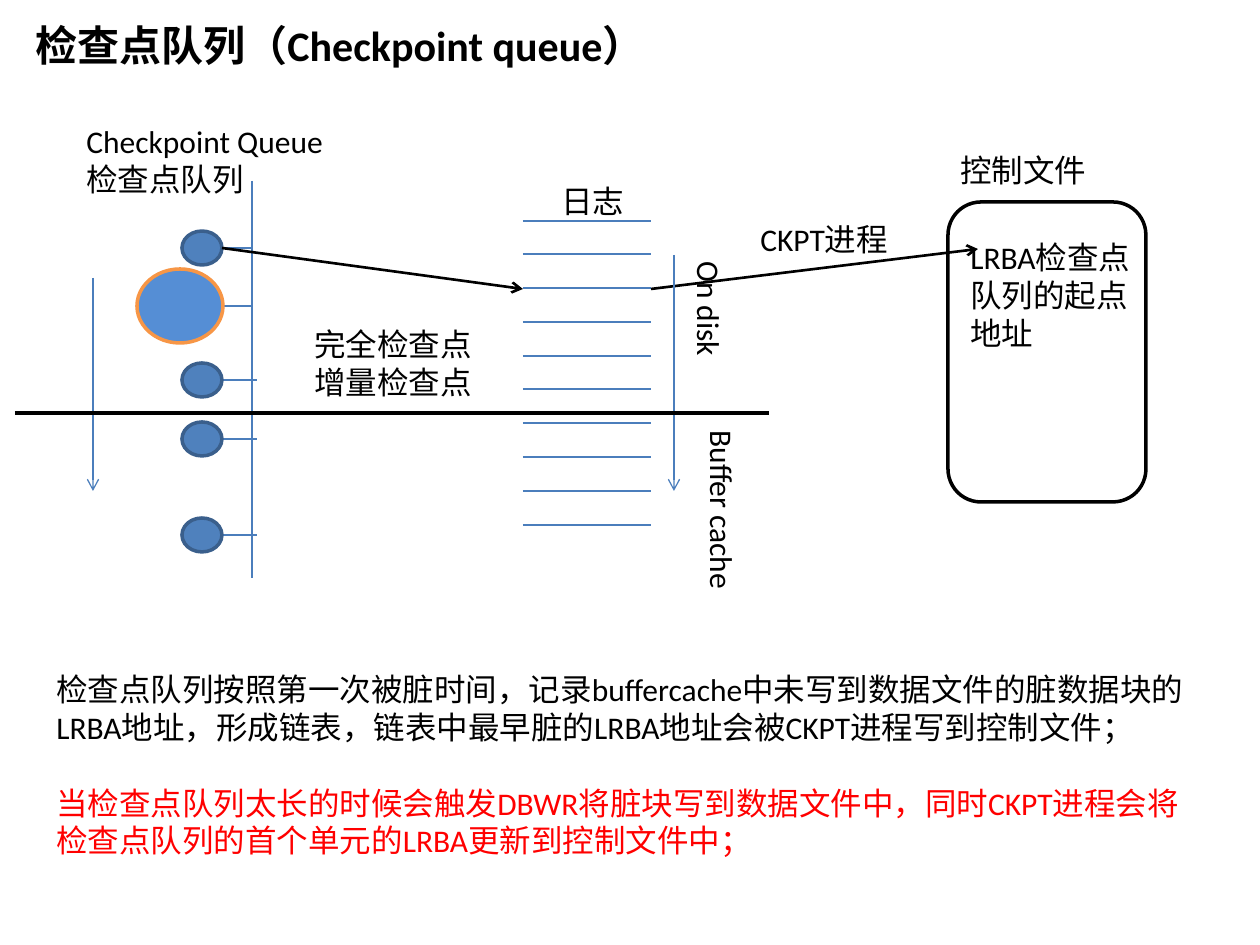
from dataclasses import dataclass

from lxml.etree import SubElement
from pptx import Presentation
from pptx.dml.color import RGBColor
from pptx.enum.shapes import MSO_CONNECTOR, MSO_SHAPE
from pptx.enum.text import MSO_AUTO_SIZE
from pptx.oxml.ns import qn
from pptx.util import Emu, Pt

SCALE = 914400 // 126


@dataclass(frozen=True)
class Theme:
    font: str = "Calibri"
    black: str = "000000"
    red: str = "FF0000"
    blue: str = "4B7EBC"
    dot: str = "4F81BD"
    rim: str = "3A5F8C"
    head: str = "558ED5"
    orange: str = "F79646"
    title: int = 24
    body: int = 18
    thin: float = 0.75
    flow: float = 1.5
    edge: float = 2
    split: float = 2.25


THEME = Theme()


def px(n):
    return Emu(n * SCALE)


def rgb(color):
    return RGBColor.from_string(color)


def add_line(shapes, start, end, color=THEME.blue, width=THEME.thin, arrow=False):
    line = shapes.add_connector(MSO_CONNECTOR.STRAIGHT, *map(px, start + end))
    line.line.color.rgb = rgb(color)
    line.line.width = Pt(width)
    if arrow:
        SubElement(line.line._get_or_add_ln(), qn("a:tailEnd"), type="arrow")
    SubElement(line._element.spPr, qn("a:effectLst"))


def add_shape(shapes, kind, box, edge, fill=None):
    shape = shapes.add_shape(kind, *map(px, box))
    shape.shadow.inherit = False
    if fill:
        shape.fill.solid()
        shape.fill.fore_color.rgb = rgb(fill)
    else:
        shape.fill.background()
    shape.line.color.rgb = rgb(edge)
    shape.line.width = Pt(THEME.edge)


def add_text(shapes, box, *lines, size=THEME.body, bold=False,
             colors=(), gap=0, upright=False):
    """Put each line in its own paragraph, with gap points between them."""
    frame = shapes.add_textbox(*map(px, box)).text_frame
    frame.word_wrap = True
    frame.auto_size = MSO_AUTO_SIZE.SHAPE_TO_FIT_TEXT
    if upright:
        frame._txBody.bodyPr.set("vert", "eaVert")
    for i, text in enumerate(lines):
        para = frame.add_paragraph() if i else frame.paragraphs[0]
        para.text = text
        if i and gap:
            para.space_before = Pt(gap)
        para.font.name = THEME.font
        para.font.size = Pt(size)
        para.font.bold = bold
        para.font.color.rgb = rgb(colors[i] if colors else THEME.black)


def add_dot(shapes, center, size, edge, fill):
    (x, y), (w, h) = center, size
    box = (x - w // 2, y - h // 2, w, h)
    add_shape(shapes, MSO_SHAPE.OVAL, box, edge, fill)


def add_queue(slide):
    shapes = slide.shapes.add_group_shape().shapes
    add_line(shapes, (252, 181), (252, 578))
    for y, right in ((248, 252), (380, 257), (439, 257), (535, 257)):
        add_line(shapes, (right, y), (219, y))
        add_dot(shapes, (202, y), (40, 34), THEME.rim, THEME.dot)
    add_line(shapes, (252, 306), (218, 306))
    add_dot(shapes, (180, 306), (86, 74), THEME.orange, THEME.head)


def add_log(slide, top=221, bottom=525, count=10):
    shapes = slide.shapes.add_group_shape().shapes
    for i in range(count):
        y = top + (bottom - top) * i // (count - 1)
        add_line(shapes, (523, y), (651, y))


def add_flow(shapes):
    for start, end in (((222, 248), (523, 289)), ((651, 289), (978, 249))):
        add_line(shapes, start, end, THEME.black, THEME.flow, True)
    for x, top in ((93, 278), (674, 255)):
        add_line(shapes, (x, top), (x, 491), arrow=True)
    add_line(shapes, (15, 413), (769, 413), THEME.black, THEME.split)


def add_labels(shapes):
    add_text(shapes, (23, 13, 866, 63), "检查点队列（Checkpoint queue）",
             size=THEME.title, bold=True)
    for box, *lines in (
        ((549, 176, 102, 50), "日志"),
        ((74, 116, 287, 89), "Checkpoint Queue检查点队列"),
        ((302, 319, 189, 89), "完全检查点", "增量检查点"),
        ((948, 145, 238, 50), "控制文件"),
        ((748, 214, 163, 50), "CKPT进程"),
        ((958, 232, 189, 127), "LRBA检查点队列的起点地址"),
    ):
        add_text(shapes, box, *lines)
    add_text(shapes, (672, 249, 63, 125), "On disk", upright=True)
    add_text(shapes, (685, 418, 63, 194), "Buffer cache", upright=True)
    add_text(
        shapes, (44, 664, 1160, 204),
        "检查点队列按照第一次被脏时间，记录buffercache中未写到数据文件的脏数据块"
        "的LRBA地址，形成链表，链表中最早脏的LRBA地址会被CKPT进程写到控制文件；",
        "当检查点队列太长的时候会触发DBWR将脏块写到数据文件中，同时CKPT进程会"
        "将检查点队列的首个单元的LRBA更新到控制文件中；",
        colors=(THEME.black, THEME.red), gap=21.6)


def main():
    deck = Presentation()
    deck.slide_width, deck.slide_height = px(1260), px(945)
    slide = deck.slides.add_slide(deck.slide_layouts[6])
    add_queue(slide)
    add_log(slide)
    add_shape(slide.shapes, MSO_SHAPE.ROUNDED_RECTANGLE,
              (948, 202, 198, 300), THEME.black)
    add_flow(slide.shapes)
    add_labels(slide.shapes)
    deck.save("out.pptx")


if __name__ == "__main__":
    main()
